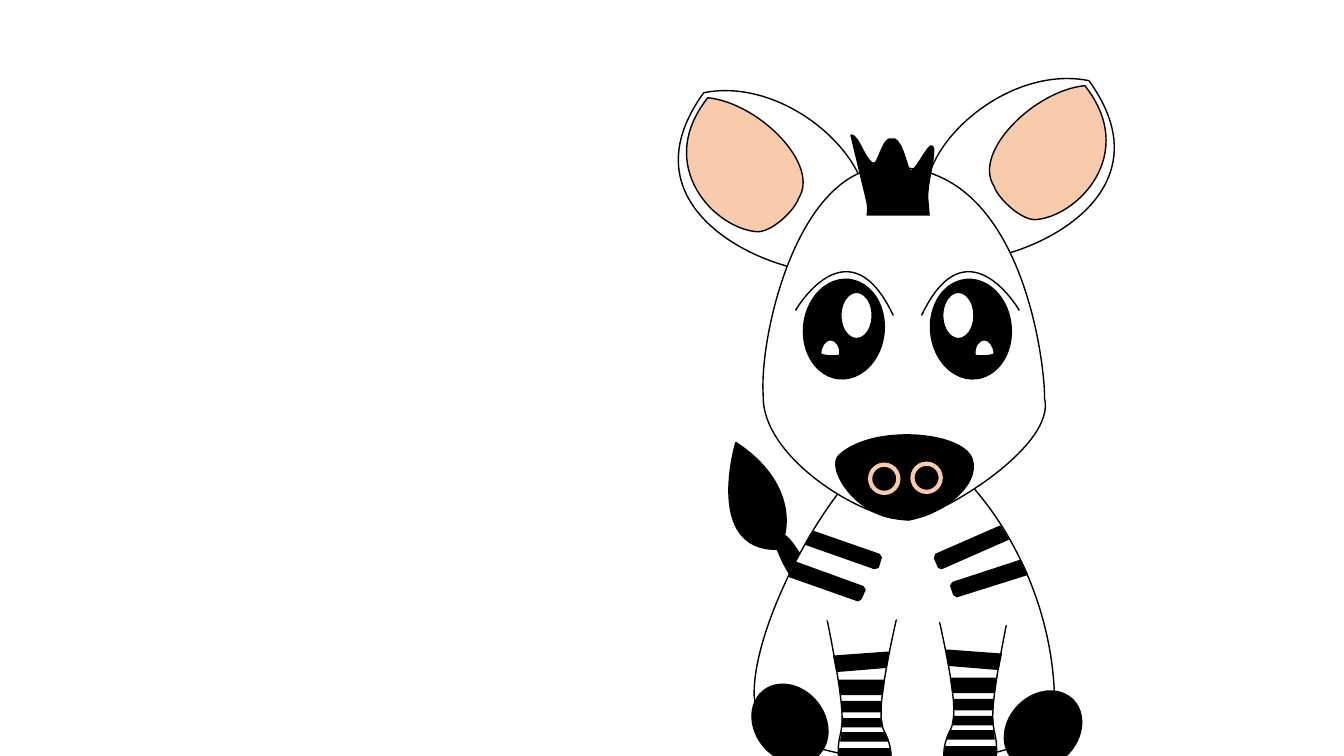
from collections.abc import Iterator
from dataclasses import dataclass, replace

from pptx import Presentation
from pptx.dml.color import RGBColor
from pptx.enum.shapes import MSO_SHAPE as Preset
from pptx.oxml.ns import qn
from pptx.util import Emu, Inches, Pt

# The slide is a grid of one-inch cells: lengths below are columns and rows.
COLUMNS, ROWS = 13.33, 7.5
CELL = Inches(1)
BLACK, WHITE, PEACH = "000000", "FFFFFF", "F8CBAD"
CURVE_STEPS = 20

Point = tuple[float, float]


@dataclass(frozen=True)
class Outline:
    """Segments hold one point (a straight line) or three (a cubic curve)."""
    start: Point
    segments: tuple[tuple[Point, ...], ...]
    fill: str | None = WHITE
    line: str | None = BLACK
    closed: bool = True


@dataclass(frozen=True)
class Block:
    left: float
    top: float
    width: float
    height: float
    fill: str = BLACK
    line: str | None = BLACK
    weight: float = 1
    turn: float = 0
    preset: Preset = Preset.OVAL


Part = Outline | Block


def grid(length: float) -> Emu:
    return Emu(round(length * CELL))


def colour(value: str) -> RGBColor:
    return RGBColor.from_string(value)


def paint(shape, fill: str | None, line: str | None, weight: float = 1) -> None:
    shape.shadow.inherit = False
    if fill:
        shape.fill.solid()
        shape.fill.fore_color.rgb = colour(fill)
    else:
        shape.fill.background()
    if line:
        shape.line.color.rgb = colour(line)
        shape.line.width = Pt(weight)
    else:
        shape.line.fill.background()


def trace(outline: Outline) -> Iterator[Point]:
    """Yield points that lie on the outline, to measure its extent."""
    pen = outline.start
    yield pen
    for segment in outline.segments:
        if len(segment) == 3:
            a, b, end = segment
            for step in range(1, CURVE_STEPS):
                t = step / CURVE_STEPS
                s = 1 - t
                yield tuple(s**3 * p + 3 * s * s * t * q + 3 * s * t * t * r + t**3 * e
                            for p, q, r, e in zip(pen, a, b, end))
        pen = segment[-1]
        yield pen


def bend(shape, outline: Outline) -> None:
    """Turn control points into cubic curves and fit the frame to the outline."""
    geometry = shape._element.find(".//" + qn("a:path"))
    strokes = iter(geometry.findall(qn("a:lnTo")))
    for segment in outline.segments:
        stroke = next(strokes)
        if len(segment) == 3:
            stroke.tag = qn("a:cubicBezTo")
            for _ in range(2):
                extra = next(strokes)
                stroke.append(extra[0])
                geometry.remove(extra)

    xs, ys = zip(*trace(outline))
    left, top = grid(min(xs)), grid(min(ys))
    width, height = grid(max(xs)) - left, grid(max(ys)) - top
    for point in geometry.iter(qn("a:pt")):
        point.set("x", str(int(point.get("x")) + shape.left - left))
        point.set("y", str(int(point.get("y")) + shape.top - top))
    geometry.set("w", str(width))
    geometry.set("h", str(height))
    shape.left, shape.top, shape.width, shape.height = left, top, width, height


def draw(slide, part: Part) -> None:
    if isinstance(part, Block):
        shape = slide.shapes.add_shape(part.preset, grid(part.left), grid(part.top),
                                       grid(part.width), grid(part.height))
        shape.rotation = part.turn
        paint(shape, part.fill, part.line, part.weight)
    else:
        pencil = slide.shapes.build_freeform(*map(grid, part.start))
        pencil.add_line_segments([(grid(x), grid(y)) for segment in part.segments
                                  for x, y in segment], close=part.closed)
        shape = pencil.convert_to_shape()
        bend(shape, part)
        paint(shape, part.fill, part.line)


def mirror(part: Part, axis: float, drop: float = 0) -> Part:
    """Reflect a part across the column at axis and lower it by drop rows."""
    def flip(point: Point) -> Point:
        return 2 * axis - point[0], point[1] + drop

    if isinstance(part, Block):
        return replace(part, left=2 * axis - part.left - part.width,
                       top=part.top + drop, turn=-part.turn)
    return replace(part, start=flip(part.start),
                   segments=tuple(tuple(map(flip, segment)) for segment in part.segments))


def draw_pair(slide, parts: list[Part], axis: float, drop: float = 0) -> None:
    for part in parts:
        draw(slide, part)
        draw(slide, mirror(part, axis, drop))


def band(*corners: Point) -> Outline:
    return Outline(corners[0], tuple((corner,) for corner in corners[1:]), BLACK)


TAIL = Outline((8.17, 5.87), (
    ((7.91, 5.92), (7.78, 5.62), (7.71, 5.45)), ((6.99, 5.46), (7.29, 4.41), (7.3, 4.39)),
    ((7.92, 4.8), (7.79, 5.28), (7.78, 5.31)), ((7.9, 5.37), (8.05, 5.8), (8.15, 5.58))), BLACK)
BODY = Outline((7.48, 6.9), (
    ((7.46, 6.08), (8.46, 4.37), (8.96, 4.38)), ((9.45, 4.4), (10.46, 5.55), (10.46, 7)),
    ((10.53, 7.76), (7.51, 7.73), (7.48, 6.9))))
EAR = [
    Outline((10.8, 0.8), (
        ((11.62, 1.93), (10.23, 2.56), (9.62, 2.58)), ((9.21, 2.1),),
        ((9.01, 1.52), (9.96, 0.63), (10.8, 0.8)))),
    Outline((10.76, 0.85), (
        ((11.3, 1.53), (10.68, 2.16), (10.26, 2.18)), ((10.1, 2.17), (9.89, 1.95), (9.86, 1.85)),
        ((9.64, 1.51), (10.26, 0.9), (10.76, 0.85))), PEACH)]
HEAD = Outline((8.87, 1.66), (
    ((10.17, 1.66), (10.37, 3.69), (10.36, 3.95)), ((10.48, 4.42), (9.35, 5.11), (9.01, 5.16)),
    ((8.53, 5.14), (7.55, 4.53), (7.57, 3.92)), ((7.53, 3.29), (7.94, 1.58), (8.87, 1.66))))
EYE = [
    Block(9.23, 2.77, 0.8, 0.99, turn=-6),
    Outline((9.14, 3.13), (((9.57, 2.22), (10.07, 3.01), (10.11, 3.08)),), None, closed=False),
    Block(9.35, 2.9, 0.31, 0.46, WHITE),
    Outline((9.67, 3.52), (
        ((9.66, 3.44), (9.71, 3.37), (9.76, 3.37)), ((9.81, 3.37), (9.86, 3.43), (9.86, 3.51)),
        ((9.85, 3.53), (9.69, 3.54), (9.67, 3.52))))]
MUZZLE = Outline((8.99, 5.15), (
    ((8.5, 5.17), (8.17, 4.62), (8.33, 4.51)), ((8.66, 4.21), (9.54, 4.28), (9.64, 4.55)),
    ((9.74, 4.83), (9.27, 5.15), (8.99, 5.15))), BLACK)
MANE = Outline((8.44, 1.34), (
    ((8.52, 1.33), (8.59, 1.64), (8.68, 1.62)), ((8.73, 1.54), (8.77, 1.36), (8.84, 1.38)),
    ((8.93, 1.34), (8.99, 1.62), (9.01, 1.66)), ((9.05, 1.82), (9.23, 1.32), (9.26, 1.48)),
    ((9.26, 1.63), (9.2, 1.81), (9.2, 1.96)), ((9.23, 2.31),), ((8.6, 2.28),),
    ((8.58, 2.18), (8.62, 2.11), (8.6, 2.01))), BLACK)
FOREHEAD = Block(8.54, 2.14, 0.76, 0.35, WHITE, None, preset=Preset.RECTANGLE)
NOSTRILS = [Block(left, top, 0.28, 0.28, BLACK, PEACH, 3)
            for left, top in ((8.63, 4.61), (9.05, 4.6))]
LEG = [
    Outline((9.26, 5.91), (
        ((10.02, 6.01),), ((9.71, 7.52), (9.92, 7.05), (9.88, 7.56)),
        ((9.69, 7.62), (9.5, 7.6), (9.36, 7.57)), ((9.35, 7.02), (9.65, 7.58), (9.26, 5.91)))),
    band((9.37, 7.41), (9.88, 7.41), (9.88, 7.56), (9.62, 7.6), (9.36, 7.57)),
    band((9.39, 6.45), (9.93, 6.49), (9.9, 6.64), (9.41, 6.6)),
    band((9.43, 6.73), (9.88, 6.73), (9.86, 6.87), (9.45, 6.87)),
    band((9.46, 6.94), (9.85, 6.94), (9.84, 7.04), (9.47, 7.04)),
    band((9.46, 7.11), (9.84, 7.11), (9.85, 7.19), (9.45, 7.19)),
    band((9.42, 7.25), (9.85, 7.25), (9.86, 7.33), (9.39, 7.33))]
SHOULDER = Outline((10.17, 6.03), (
    ((9.97, 6.38), (9.38, 6.26), (9.21, 6.1)), ((9.16, 6.03), (9.21, 5.91), (9.26, 5.87)),
    ((9.38, 5.72), (9.96, 5.84), (10.17, 6.03))), line=None)
HIND_FEET = [Block(10, 6.82, 0.69, 0.84, turn=44.3), Block(7.49, 6.76, 0.69, 0.84, turn=-39.3)]
BODY_STRIPES = [
    band((10, 5.35), (9.34, 5.64), (9.31, 5.63), (9.27, 5.54), (9.28, 5.5), (9.92, 5.22)),
    band((10.19, 5.7), (9.49, 5.92), (9.46, 5.9), (9.43, 5.81), (9.45, 5.78), (10.12, 5.56)),
    band((7.99, 5.4), (8.67, 5.64), (8.71, 5.63), (8.74, 5.53), (8.72, 5.5), (8.06, 5.27)),
    band((7.83, 5.72), (8.51, 5.96), (8.54, 5.94), (8.58, 5.85), (8.56, 5.82), (7.9, 5.58))]


def main() -> None:
    deck = Presentation()
    deck.slide_width, deck.slide_height = grid(COLUMNS), grid(ROWS)
    slide = deck.slides.add_slide(deck.slide_layouts[6])
    for part in (TAIL, BODY):
        draw(slide, part)
    draw_pair(slide, EAR, axis=8.89, drop=0.12)
    draw(slide, HEAD)
    draw_pair(slide, EYE, axis=9)
    for part in (MUZZLE, MANE, FOREHEAD, *NOSTRILS):
        draw(slide, part)
    draw_pair(slide, LEG, axis=9.1, drop=0.02)
    draw_pair(slide, [SHOULDER], axis=9.11, drop=-0.03)
    for part in (*HIND_FEET, *BODY_STRIPES):
        draw(slide, part)
    deck.save("out.pptx")


if __name__ == "__main__":
    main()
